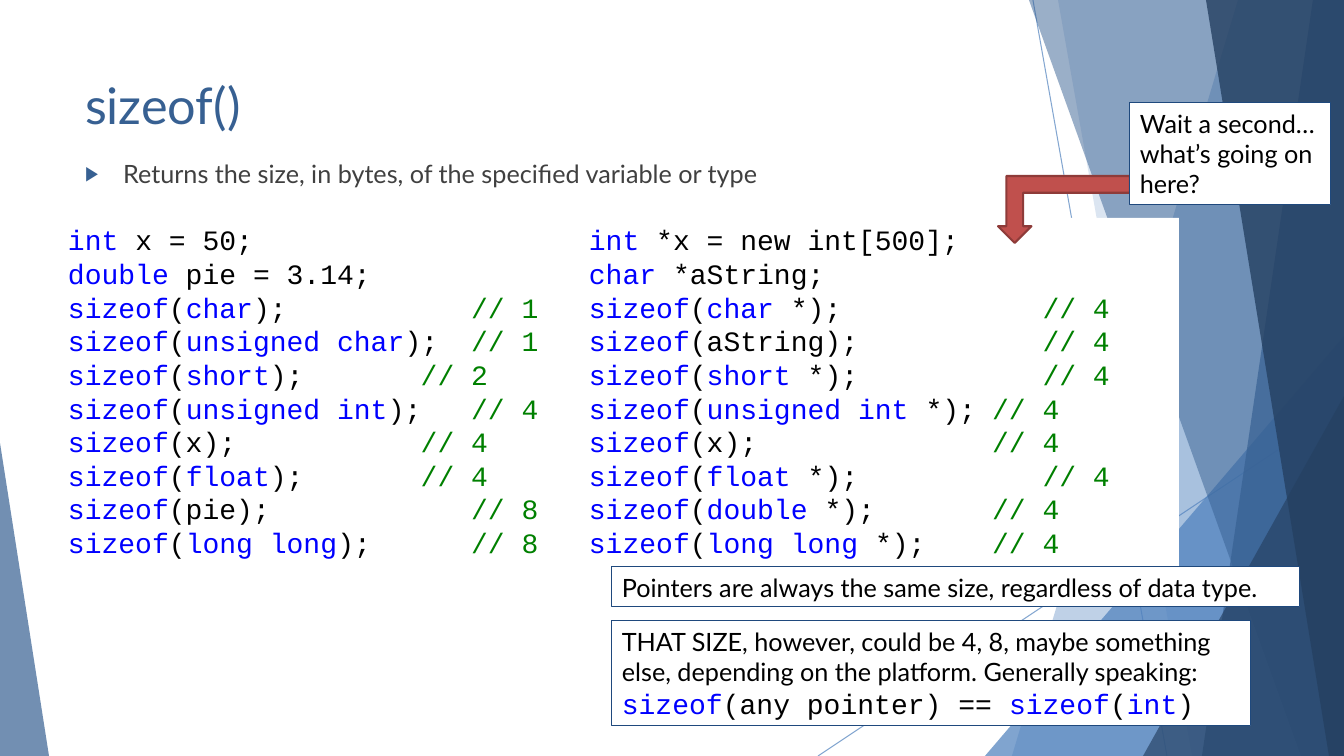
from lxml import etree
from pptx import Presentation
from pptx import util as u
from pptx.dml.color import RGBColor
from pptx.enum import shapes, text
from pptx.oxml.ns import qn

SCALE = 914400 / 100.8
WIDTH, HEIGHT = 1344, 756
COLORS = {
    "light": "4F81BD", "medium": "376092", "dark": "254061", "border": "1F497D",
    "body": "404040", "keyword": "0000FF", "comment": "008000", "black": "000000",
    "white": "FFFFFF", "arrow": "C0504D", "arrow_edge": "8E3B39",
}
CODE = ("Courier New", 20)
NOTE = ("Lato", 18)
VALUE_CODE = [
    "`int` x = 50;",
    "`double` pie = 3.14;",
    "`sizeof`(`char`);\t\t\t\t//\t1",
    "`sizeof`(`unsigned char`);\t//\t1",
    "`sizeof`(`short`);\t\t\t//\t2",
    "`sizeof`(`unsigned int`);\t//\t4",
    "`sizeof`(x);\t\t\t\t//\t4",
    "`sizeof`(`float`);\t\t\t//\t4",
    "`sizeof`(pie);\t\t\t\t//\t8",
    "`sizeof`(`long long`);\t\t//\t8",
]
POINTER_CODE = [
    "`int` *x = new int[500];",
    "`char` *aString;",
    "`sizeof`(`char` *);\t\t\t\t// 4",
    "`sizeof`(aString);\t\t\t\t// 4",
    "`sizeof`(`short` *);\t\t\t\t// 4",
    "`sizeof`(`unsigned int` *);\t// 4",
    "`sizeof`(x);\t\t\t\t\t// 4",
    "`sizeof`(`float` *);\t\t\t\t// 4",
    "`sizeof`(`double` *);\t\t\t// 4",
    "`sizeof`(`long long` *);\t\t// 4",
]


def px(*lengths):
    """Turn pixel lengths into a list of EMU."""
    return [u.Emu(round(length * SCALE)) for length in lengths]


def color(name):
    """Return a named colour."""
    return RGBColor.from_string(COLORS[name])


def paint(shape, fill, edge=None, width=0.75):
    """Give a shape a solid fill, an optional outline and no shadow."""
    shape.shadow.inherit = False
    shape.fill.solid()
    shape.fill.fore_color.rgb = color(fill)
    if edge:
        shape.line.color.rgb = color(edge)
        shape.line.width = u.Pt(width)
    else:
        shape.line.fill.background()


def set_opacity(shape, percent):
    """Make the only colour of a shape partly transparent."""
    rgb = shape._element.spPr.find(".//" + qn("a:srgbClr"))
    etree.SubElement(rgb, qn("a:alpha"), val=str(percent * 1000))


def add_ray(slide, start, end):
    """Add a thin translucent background line."""
    ray = slide.shapes.add_connector(shapes.MSO_CONNECTOR.STRAIGHT, *px(*start, *end))
    ray.line.color.rgb = color("light")
    ray.line.width = u.Pt(0.75)
    set_opacity(ray, 70)
    etree.SubElement(ray._element.spPr, qn("a:effectLst"))


def add_band(slide, top_x, bottom_x, fill, opacity):
    """Add a full-height band from a slanted left side to the right slide edge."""
    builder = slide.shapes.build_freeform(top_x, 0, scale=SCALE)
    builder.add_line_segments([(WIDTH, 0), (WIDTH, HEIGHT), (bottom_x, HEIGHT)])
    band = builder.convert_to_shape()
    paint(band, fill)
    set_opacity(band, opacity)


def add_corner(slide, left, top, width, apex, fill, opacity):
    """Add a right triangle that stands on the bottom edge."""
    corner = slide.shapes.add_shape(
        shapes.MSO_SHAPE.ISOSCELES_TRIANGLE, *px(left, top, width, HEIGHT - top))
    corner.adjustments[0] = apex
    paint(corner, fill)
    set_opacity(corner, opacity)


def add_background(slide):
    """Add the translucent facets, from back to front."""
    add_ray(slide, (1033, 0), (1167, HEIGHT))
    add_ray(slide, (WIDTH, 406), (818, HEIGHT))
    add_band(slide, 1238, 1012, "light", 36)
    add_band(slide, 1058, 1192, "light", 20)
    add_corner(slide, 985, 336, 359, 1, "light", 72)
    add_band(slide, 1029, 1301, "medium", 50)
    add_band(slide, 1313, 1202, "medium", 70)
    add_band(slide, 1206, 1329, "dark", 80)
    add_corner(slide, 1143, 396, 201, 1, "dark", 66)
    add_corner(slide, 0, 443, 49, 0, "medium", 70)


def write_line(paragraph, line, style):
    """Write one line: backticks hold keywords, and // starts a comment."""
    paragraph.alignment = text.PP_ALIGN.LEFT
    paragraph.font.name, size = style
    paragraph.font.size = u.Pt(size)
    code, slashes, rest = line.partition("//")
    parts = [(part, "keyword" if index % 2 else "black")
             for index, part in enumerate(code.split("`"))]
    for part, name in parts + [(slashes + rest, "comment")]:
        if part:
            run = paragraph.add_run()
            run.text = part
            run.font.color.rgb = color(name)


def add_lines(slide, area, lines, fill=None, edge=None):
    """Add a box of (line, style) pairs, filled if a fill is named."""
    if fill:
        box = slide.shapes.add_shape(shapes.MSO_SHAPE.RECTANGLE, *px(*area))
        paint(box, fill, edge)
    else:
        box = slide.shapes.add_textbox(*px(*area))
    frame = box.text_frame
    frame.word_wrap = True
    frame.auto_size = text.MSO_AUTO_SIZE.SHAPE_TO_FIT_TEXT
    frame.vertical_anchor = text.MSO_ANCHOR.TOP
    for index, (line, style) in enumerate(lines):
        paragraph = frame.add_paragraph() if index else frame.paragraphs[0]
        write_line(paragraph, line, style)


def fill_placeholder(holder, area, words, size, name):
    """Move a placeholder, write its words and return the paragraph."""
    holder.left, holder.top, holder.width, holder.height = px(*area)
    holder.text_frame.text = words
    paragraph = holder.text_frame.paragraphs[0]
    paragraph.alignment = text.PP_ALIGN.LEFT
    paragraph.font.name = "Lato"
    paragraph.font.size = u.Pt(size)
    paragraph.font.color.rgb = color(name)
    return paragraph


def add_bullet(paragraph):
    """Give a paragraph a hanging triangle bullet."""
    paragraph.space_before = u.Pt(10)
    properties = paragraph._p.get_or_add_pPr()
    indent = px(38)[0]
    properties.set("marL", str(indent))
    properties.set("indent", str(-indent))
    bullet_color = etree.Element(qn("a:buClr"))
    etree.SubElement(bullet_color, qn("a:srgbClr"), val=COLORS["medium"])
    bullet_size = etree.Element(qn("a:buSzPct"), val="80000")
    bullet = etree.Element(qn("a:buChar"), char="▶")
    defaults = properties.find(qn("a:defRPr"))
    for element in (bullet_color, bullet_size, bullet):
        defaults.addprevious(element)


def add_arrow(slide):
    """Add the bent arrow that points down to the allocation."""
    arrow = slide.shapes.add_shape(
        shapes.MSO_SHAPE.BENT_UP_ARROW, *px(998, 176, 132, 67))
    arrow.rotation = 180
    paint(arrow, "arrow", "arrow_edge", 1.5)


def main():
    """Build the slide and save it."""
    presentation = Presentation()
    presentation.slide_width, presentation.slide_height = px(WIDTH, HEIGHT)
    slide = presentation.slides.add_slide(presentation.slide_layouts[1])
    title, body = slide.placeholders
    add_background(slide)
    fill_placeholder(title, (75, 68, 948, 72), "sizeof()", 36, "medium")
    add_bullet(fill_placeholder(
        body, (75, 153, 948, 57),
        "Returns the size, in bytes, of the specified variable or type", 18, "body"))
    add_lines(slide, (58, 218, 672, 350), [(line, CODE) for line in VALUE_CODE])
    add_lines(slide, (579, 218, 600, 350), [(line, CODE) for line in POINTER_CODE], "white")
    add_arrow(slide)
    add_lines(slide, (1130, 103, 201, 102),
              [("Wait a second… what’s going on here?", NOTE)], "white", "border")
    add_lines(slide, (612, 567, 688, 40),
              [("Pointers are always the same size, regardless of data type.", NOTE)],
              "white", "border")
    add_lines(slide, (612, 621, 639, 105),
              [("THAT SIZE, however, could be 4, 8, maybe something else, "
                "depending on the platform. Generally speaking:", NOTE),
               ("`sizeof`(any pointer) == `sizeof`(`int`)", CODE)], "white", "border")
    presentation.save("out.pptx")


main()
